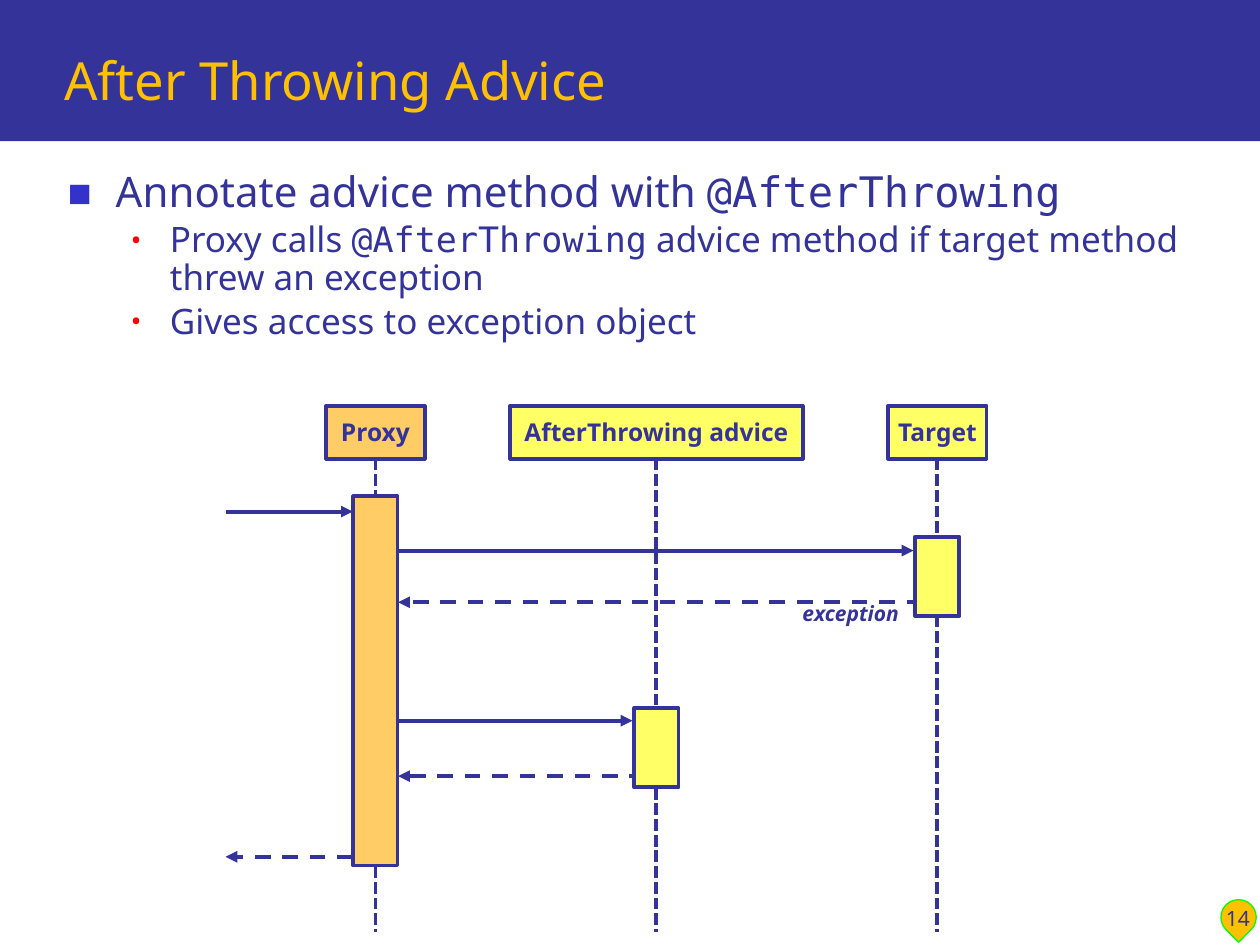
from lxml import etree
from pptx import Presentation
from pptx.dml.color import RGBColor
from pptx.enum.dml import MSO_LINE
from pptx.enum.shapes import MSO_CONNECTOR, MSO_SHAPE
from pptx.enum.text import MSO_ANCHOR, PP_ALIGN
from pptx.oxml.ns import qn
from pptx.util import Inches, Pt

RECT, TEARDROP = MSO_SHAPE.RECTANGLE, MSO_SHAPE.TEAR
STRAIGHT = MSO_CONNECTOR.STRAIGHT
DASH, DOT = MSO_LINE.DASH, MSO_LINE.SQUARE_DOT
MIDDLE, BOTTOM = MSO_ANCHOR.MIDDLE, MSO_ANCHOR.BOTTOM
LEFT, CENTER = PP_ALIGN.LEFT, PP_ALIGN.CENTER
SANS, MONO = "Noto Sans", "DejaVu Sans Mono"
COLORS = {"navy": "333399", "gold": "FFC000", "orange": "FFCC66", "yellow": "FFFF66",
          "green": "00FF00", "square": "3333CC", "dot": "FF0000"}
BULLETS = [
    (0, [("Annotate advice method with ", SANS), ("@AfterThrowing", MONO)]),
    (1, [("Proxy calls ", SANS), ("@AfterThrowing", MONO),
         (" advice method if target method threw an exception", SANS)]),
    (1, [("Gives access to exception object", SANS)]),
]
LEVELS = [
    {"size": 24, "margin": 0.38, "indent": -0.38, "before": 0,
     "char": "■", "color": "square", "scale": 60},
    {"size": 20, "margin": 0.81, "indent": -0.31, "before": 3.5,
     "char": "•", "color": "dot", "scale": 80},
]
PARTICIPANTS = [
    ("Proxy", 1.19, 0.78, "orange", 0.72, 2.93),
    ("AfterThrowing advice", 3.42, 2.32, "yellow", 2.4, 0.63),
    ("Target", 5.65, 0.78, "yellow", 1.04, 0.63),
]
MESSAGES = [
    (0, 1.01, 0.84, None),
    (1.31, 5.46, 1.15, None),
    (5.53, 1.37, 1.56, DASH),
    (1.32, 3.23, 2.5, None),
    (3.33, 1.37, 2.94, DASH),
    (1.01, 0, 3.58, DASH),
]


def rgb(name):
    """Return the named colour."""
    return RGBColor.from_string(COLORS[name])


def style_run(r, size, color="navy", font=SANS, bold=False, italic=False):
    """Format one run."""
    r.font.name, r.font.size = font, Pt(size)
    r.font.bold, r.font.italic = bold, italic
    r.font.color.rgb = rgb(color)


def set_text(sp, text, size, anchor, align, wrap=True, **style):
    """Put one formatted paragraph into a shape."""
    tf = sp.text_frame
    tf.text = text
    tf.word_wrap, tf.vertical_anchor = wrap, anchor
    p = tf.paragraphs[0]
    p.alignment = align
    style_run(p.runs[0], size, **style)


def add_box(s, x, y, w, h, fill, line=None, width=2.25, kind=RECT):
    """Add a filled shape, outlined if a line colour is given."""
    sp = s.shapes.add_shape(kind, Inches(x), Inches(y), Inches(w), Inches(h))
    sp.shadow.inherit = False
    sp.fill.solid()
    sp.fill.fore_color.rgb = rgb(fill)
    if line:
        sp.line.color.rgb, sp.line.width = rgb(line), Pt(width)
    else:
        sp.line.fill.background()
    return sp


def add_textbox(s, x, y, w, h):
    """Add an empty text box."""
    return s.shapes.add_textbox(Inches(x), Inches(y), Inches(w), Inches(h))


def add_line(s, x1, y1, x2, y2, dash=None, arrow=False):
    """Add a straight line, optionally dashed or with an arrowhead."""
    c = s.shapes.add_connector(STRAIGHT, Inches(x1), Inches(y1), Inches(x2), Inches(y2))
    c.line.color.rgb, c.line.width = rgb("navy"), Pt(2.25)
    if dash:
        c.line.dash_style = dash
    if arrow:
        etree.SubElement(c.line._get_or_add_ln(), qn("a:tailEnd"), type="triangle")
    etree.SubElement(c._element.spPr, qn("a:effectLst"))
    return c


def add_bullet(p, level):
    """Give a paragraph the indent and bullet of its level."""
    pPr = p._p.get_or_add_pPr()
    pPr.set("marL", str(Inches(level["margin"])))
    pPr.set("indent", str(Inches(level["indent"])))
    color = etree.SubElement(pPr, qn("a:buClr"))
    etree.SubElement(color, qn("a:srgbClr"), val=COLORS[level["color"]])
    etree.SubElement(pPr, qn("a:buSzPct"), val=str(level["scale"] * 1000))
    etree.SubElement(pPr, qn("a:buFont"), typeface=SANS)
    etree.SubElement(pPr, qn("a:buChar"), char=level["char"])


def title_band(s, x, y, w, h):
    """Draw the title on its coloured band."""
    add_box(s, x, y, w, h, "navy")
    tb = add_textbox(s, x + 0.41, y + 0.17, w - 0.65, 0.76)
    set_text(tb, "After Throwing Advice", 30, BOTTOM, LEFT, color="gold")


def bullet_list(s, x, y, w, h):
    """Write the two-level bullet list."""
    tf = add_textbox(s, x, y, w, h).text_frame
    tf.word_wrap = True
    for i, (depth, parts) in enumerate(BULLETS):
        level = LEVELS[depth]
        p = tf.add_paragraph() if i else tf.paragraphs[0]
        p.level, p.line_spacing = depth, 0.9
        p.space_before = Pt(level["before"])
        add_bullet(p, level)
        for text, font in parts:
            r = p.add_run()
            r.text = text
            style_run(r, level["size"], font=font)


def sequence_diagram(s, x, y, w, h):
    """Draw participants, lifelines, messages and activation bars."""
    head_h, bar_w = 0.42, 0.35
    for name, cx, head_w, fill, top, height in PARTICIPANTS:
        head = add_box(s, x + cx - head_w / 2, y, head_w, head_h, fill, "navy")
        set_text(head, name, 14, MIDDLE, CENTER, wrap=False, bold=True)
        lifeline = add_line(s, x + cx, y + head_h, x + cx, y + h, DOT)
        lifeline.begin_connect(head, 2)
    for start, end, dy, dash in MESSAGES:
        add_line(s, x + start, y + dy, x + end, y + dy, dash, arrow=True)
    for name, cx, head_w, fill, top, height in PARTICIPANTS:
        add_box(s, x + cx - bar_w / 2, y + top, bar_w, height, fill, "navy")
    label = add_textbox(s, x + 4.48, y + 1.5, 1.02, 0.3)
    set_text(label, "exception", 12, MSO_ANCHOR.TOP, LEFT, wrap=False, bold=True, italic=True)


def page_number(s, x, y, w, h):
    """Draw the page number on its teardrop."""
    drop = add_box(s, x + 0.15, y + 0.2, 0.28, 0.28, "gold", "green", 0.75, TEARDROP)
    drop.rotation = 134.9
    set_text(add_textbox(s, x, y, w, h), "14", 12, BOTTOM, CENTER)


def main():
    """Build and save the slide."""
    prs = Presentation()
    prs.slide_width, prs.slide_height = Inches(10), Inches(7.5)
    s = prs.slides.add_slide(prs.slide_layouts[6])
    title_band(s, 0, 0, 10, 1.12)
    bullet_list(s, 0.44, 1.31, 9.28, 1.7)
    sequence_diagram(s, 1.79, 3.22, 6.03, 4.18)
    page_number(s, 9.54, 6.94, 0.57, 0.5)
    prs.save("out.pptx")


if __name__ == "__main__":
    main()
